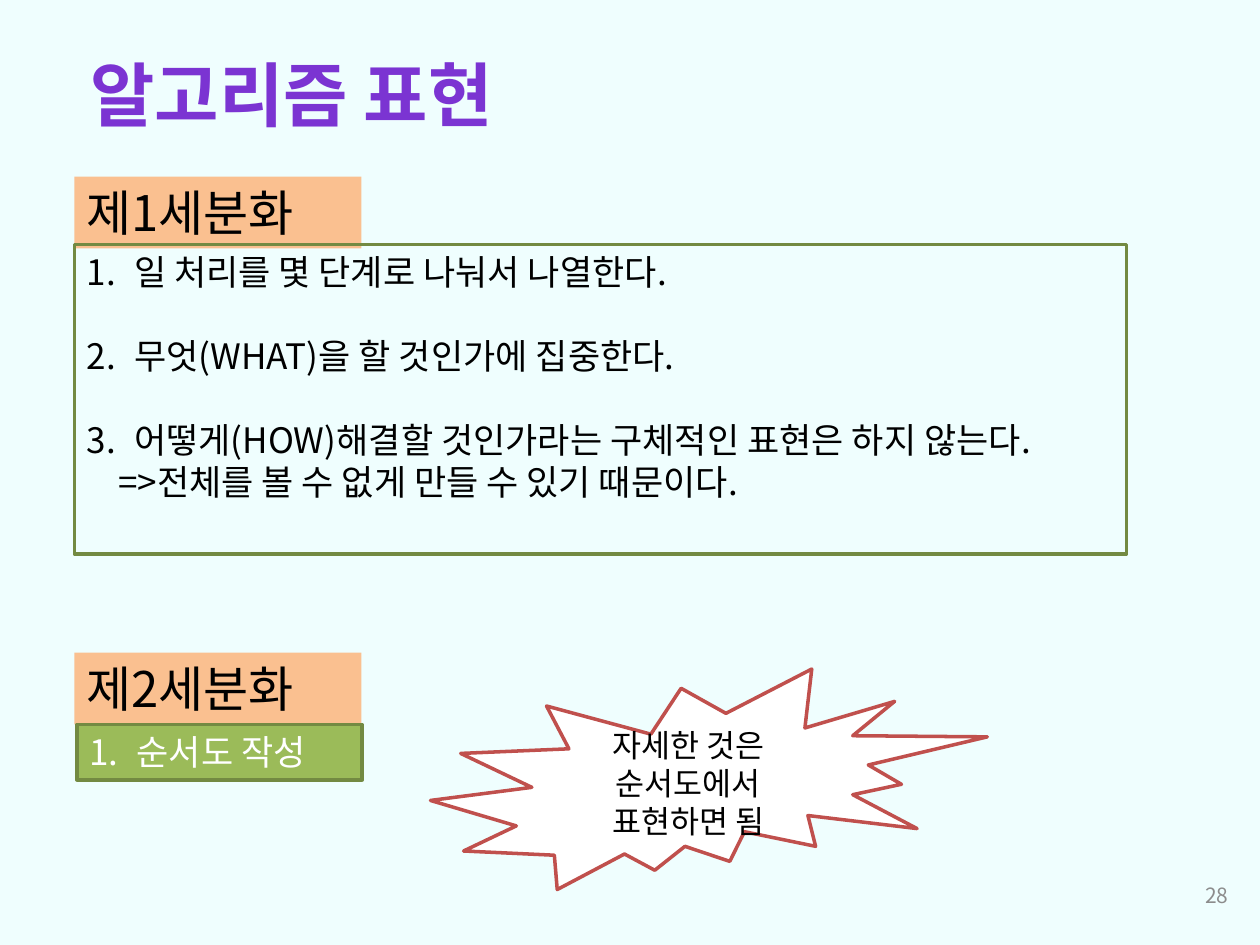
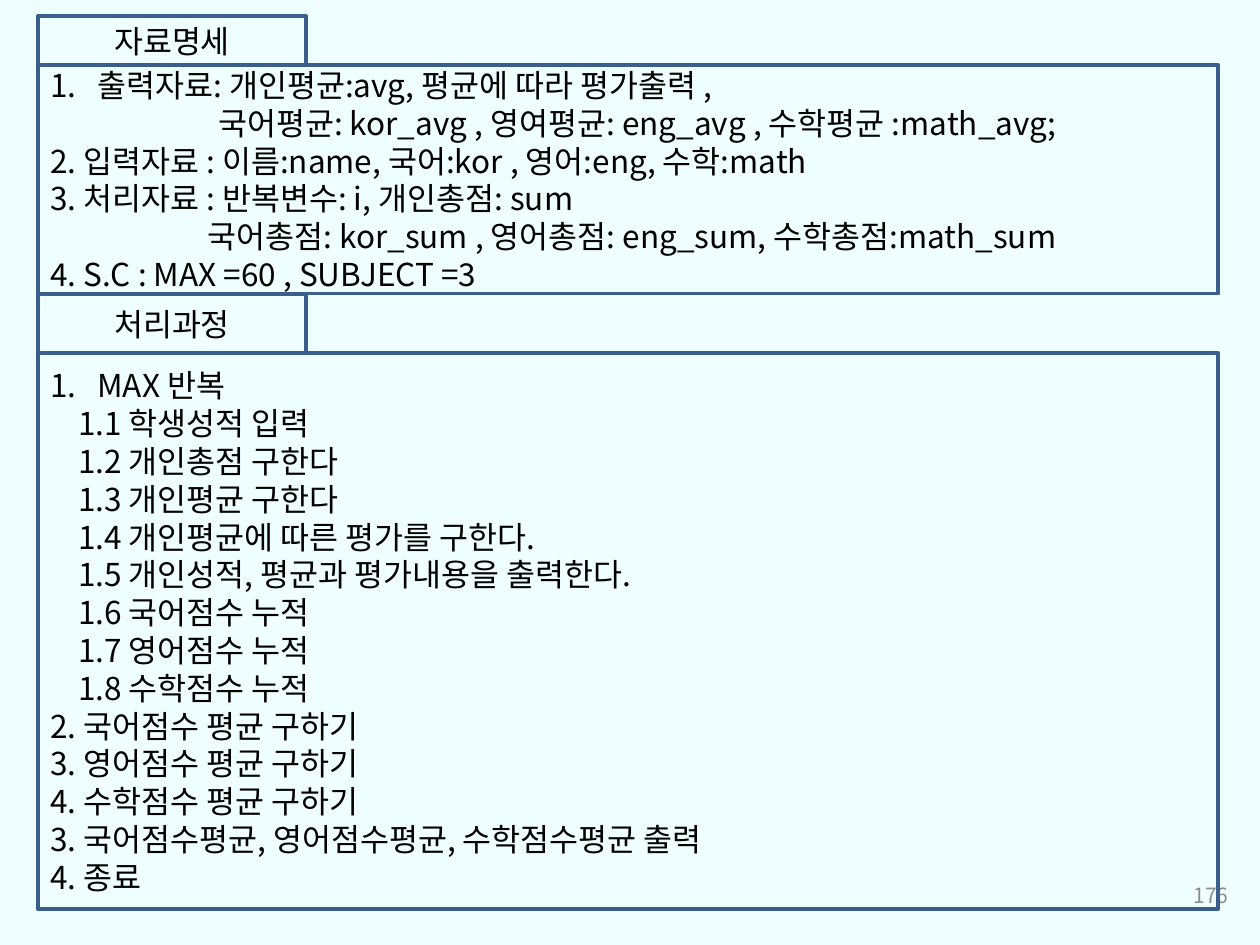
"""Build two lecture slides on refining and describing an algorithm."""
from dataclasses import dataclass

from lxml import etree
from pptx import Presentation
from pptx.dml.color import RGBColor
from pptx.enum import shapes, text
from pptx.oxml import ns
from pptx.util import Pt

FONT = "Noto Sans CJK KR"
BACKGROUND = RGBColor(0xEF, 0xFE, 0xFE)
BLACK = RGBColor(0x00, 0x00, 0x00)
WHITE = RGBColor(0xFF, 0xFF, 0xFF)
PURPLE = RGBColor(0x7B, 0x34, 0xD2)
GRAY = RGBColor(0x8C, 0x8C, 0x8C)
PEACH = RGBColor(0xFA, 0xC0, 0x90)
GREEN = RGBColor(0x9B, 0xBB, 0x59)
DARK_GREEN = RGBColor(0x73, 0x8A, 0x42)
RED = RGBColor(0xC0, 0x50, 0x4D)
BLUE = RGBColor(0x3A, 0x5F, 0x8C)

LINE_HEIGHT = 1.2
NUMBER_INDENT = 27
LEFT, CENTER, RIGHT = (
    text.PP_ALIGN.LEFT, text.PP_ALIGN.CENTER, text.PP_ALIGN.RIGHT)
TOP, MIDDLE = text.MSO_ANCHOR.TOP, text.MSO_ANCHOR.MIDDLE

HEADING = {"size": Pt(40), "bold": True, "color": PURPLE}
LABEL = {"size": Pt(28), "color": BLACK}
STEP = {"size": Pt(20), "color": BLACK}
DETAIL = {"size": Pt(18), "color": BLACK}
PAGE_NUMBER = {"size": Pt(12), "color": GRAY}


@dataclass
class Line:
    """One paragraph with its indent, numbering and space before."""
    words: str
    indent: float = 0
    numbered: bool = False
    gap: float = 0


def set_values(target, values):
    """Set each attribute of the target from a dict."""
    for name, value in values.items():
        setattr(target, name, value)


def indent_paragraph(paragraph, line):
    """Indent a paragraph and number it if asked."""
    properties = paragraph._p.get_or_add_pPr()
    if line.numbered:
        properties.set("marL", str(Pt(NUMBER_INDENT)))
        properties.set("indent", str(Pt(-NUMBER_INDENT)))
        etree.SubElement(properties, ns.qn("a:buAutoNum"), type="arabicPeriod")
    elif line.indent:
        properties.set("marL", str(Pt(line.indent)))
        properties.set("indent", "0")


def write(frame, lines, style, align=LEFT, anchor=TOP, wrap=True):
    """Fill a text frame with lines in one style."""
    set_values(frame, {"word_wrap": wrap, "vertical_anchor": anchor})
    for index, line in enumerate(lines):
        paragraph = frame.paragraphs[0] if index == 0 else frame.add_paragraph()
        indent_paragraph(paragraph, line)
        set_values(paragraph, {
            "alignment": align,
            "line_spacing": Pt(style["size"].pt * LINE_HEIGHT),
            "space_before": Pt(line.gap),
        })
        run = paragraph.add_run()
        run.text = line.words
        fonts = {name: value for name, value in style.items() if name != "color"}
        set_values(run.font, {"name": FONT, **fonts})
        run.font.color.rgb = style["color"]
        etree.SubElement(run.font._element, ns.qn("a:ea"), typeface=FONT)


def add_box(slide, place, lines, style, fill=None, border=None, weight=2,
            kind=shapes.MSO_SHAPE.RECTANGLE, **layout):
    """Add a shape with optional fill and border, and its text."""
    shape = slide.shapes.add_shape(kind, *map(Pt, place))
    shape.shadow.inherit = False
    if fill is None:
        shape.fill.background()
    else:
        shape.fill.solid()
        shape.fill.fore_color.rgb = fill
    if border is None:
        shape.line.fill.background()
    else:
        shape.line.color.rgb = border
        shape.line.width = Pt(weight)
    write(shape.text_frame, lines, style, **layout)


def add_text(slide, place, words, style, **layout):
    """Add a text box with one line."""
    box = slide.shapes.add_textbox(*map(Pt, place))
    write(box.text_frame, [Line(words)], style, **layout)


def add_slide(presentation, number):
    """Add a blank slide with the shared background and page number."""
    slide = presentation.slides.add_slide(presentation.slide_layouts[6])
    slide.background.fill.solid()
    slide.background.fill.fore_color.rgb = BACKGROUND
    add_text(slide, (541.5, 497, 167.5, 28.5), number, PAGE_NUMBER,
             align=RIGHT, anchor=MIDDLE)
    return slide


def add_section(slide, top, label_height, title, panel_height, lines):
    """Add an outlined tab with an outlined panel right below it."""
    left, tab_width, panel_width = 21.6, 153.4, 674.6
    outline = {"border": BLUE, "weight": 2.25, "anchor": MIDDLE}
    add_box(slide, (left, top + label_height, panel_width, panel_height),
            lines, DETAIL, **outline)
    add_box(slide, (left, top, tab_width, label_height), [Line(title)],
            DETAIL, align=CENTER, **outline)


def build_refinement(presentation):
    """Build the slide on the two refinement stages."""
    slide = add_slide(presentation, "28")
    add_text(slide, (31, 26, 271.4, 55.4), "알고리즘 표현", HEADING,
             align=CENTER, wrap=False)
    for top, label in ((101, "제1세분화"), (373, "제2세분화")):
        add_box(slide, (42.5, top, 164, 41), [Line(label)], LABEL, fill=PEACH)
    add_box(slide, (42.5, 139.7, 601.2, 177), [
        Line("일 처리를 몇 단계로 나눠서 나열한다.", numbered=True),
        Line("무엇(WHAT)을 할 것인가에 집중한다.", numbered=True, gap=24),
        Line("어떻게(HOW)해결할 것인가라는 구체적인 표현은 하지 않는다.",
             numbered=True, gap=24),
        Line("=>전체를 볼 수 없게 만들 수 있기 때문이다.", indent=18),
    ], STEP, border=DARK_GREEN)
    add_box(slide, (44, 414, 163, 31.7), [Line("순서도 작성", numbered=True)],
            {**STEP, "color": WHITE}, fill=GREEN, border=DARK_GREEN)
    note = [Line(words) for words in ("자세한 것은", "순서도에서", "표현하면 됨")]
    add_box(slide, (246, 382.3, 318.2, 126), note, DETAIL, fill=WHITE,
            border=RED, kind=shapes.MSO_SHAPE.EXPLOSION2,
            align=CENTER, anchor=MIDDLE)


def build_specification(presentation):
    """Build the slide with the data specification and the process."""
    slide = add_slide(presentation, "176")
    add_section(slide, 9.4, 28, "자료명세", 130.4, [
        Line("출력자료: 개인평균:avg, 평균에 따라 평가출력 ,", numbered=True),
        Line("국어평균: kor_avg , 영여평균: eng_avg , 수학평균 :math_avg;", 96),
        Line("2. 입력자료 : 이름:name, 국어:kor , 영어:eng, 수학:math"),
        Line("3. 처리자료 : 반복변수: i, 개인총점: sum"),
        Line("국어총점: kor_sum , 영어총점: eng_sum, 수학총점:math_sum", 90),
        Line("4. S.C : MAX =60 , SUBJECT =3"),
    ])
    loop_steps = (
        "학생성적 입력", "개인총점 구한다", "개인평균 구한다",
        "개인평균에 따른 평가를 구한다.", "개인성적, 평균과 평가내용을 출력한다.",
        "국어점수 누적", "영어점수 누적", "수학점수 누적")
    final_steps = (
        "2. 국어점수 평균 구하기", "3. 영어점수 평균 구하기",
        "4. 수학점수 평균 구하기",
        "3. 국어점수평균, 영어점수평균, 수학점수평균 출력", "4. 종료")
    add_section(slide, 167.8, 34, "처리과정", 317.6, [
        Line("MAX 반복", numbered=True),
        *(Line(f"1.{index} {step}", indent=16)
          for index, step in enumerate(loop_steps, 1)),
        *map(Line, final_steps),
    ])


def main():
    """Build and save the presentation."""
    presentation = Presentation()
    set_values(presentation, {"slide_width": Pt(720), "slide_height": Pt(540)})
    build_refinement(presentation)
    build_specification(presentation)
    presentation.save("out.pptx")


if __name__ == "__main__":
    main()
